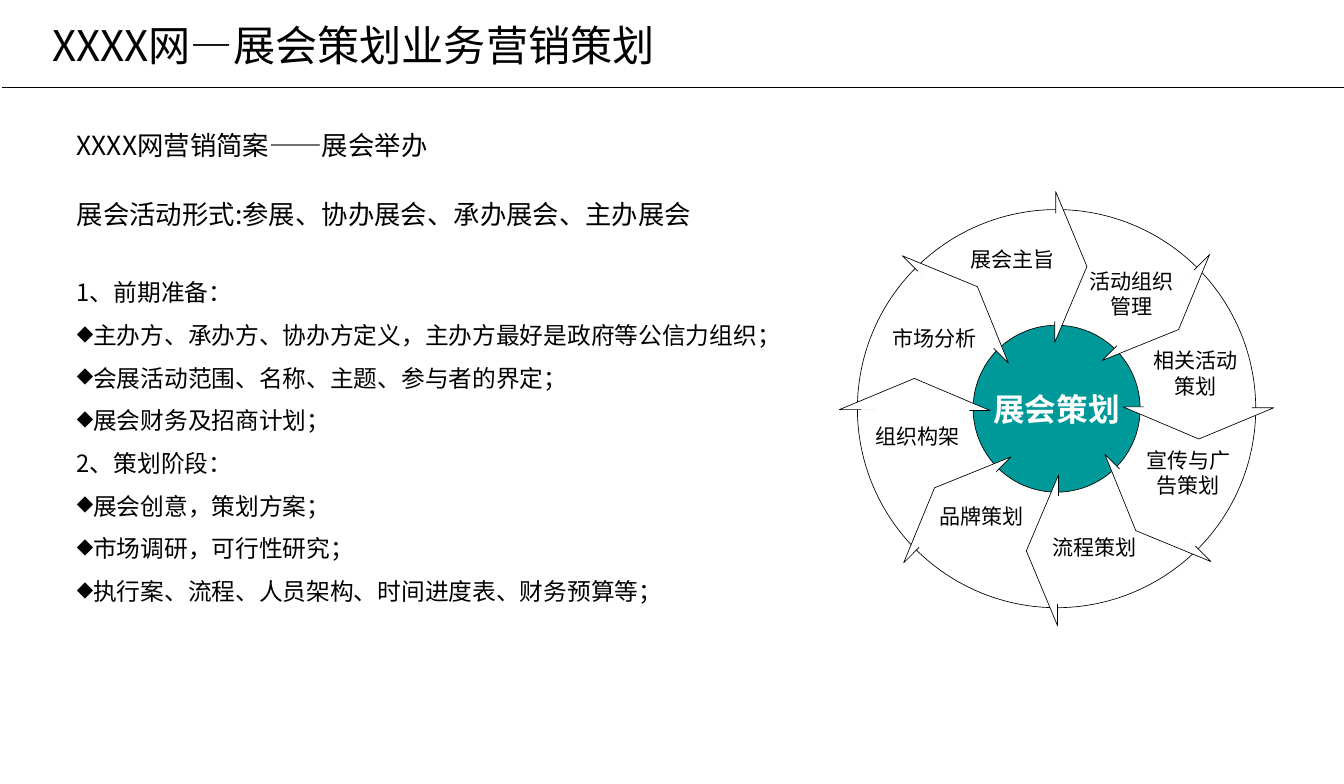
from dataclasses import dataclass
from math import cos, radians, sin

from lxml.etree import SubElement
from pptx import Presentation
from pptx.dml.color import RGBColor
from pptx.enum.shapes import MSO_CONNECTOR, MSO_SHAPE
from pptx.enum.text import MSO_ANCHOR, PP_ALIGN
from pptx.oxml.ns import qn
from pptx.util import Pt


@dataclass(frozen=True)
class Theme:
    """Colours, fonts and sizes of the slide."""
    ink: RGBColor = RGBColor(0, 0, 0)
    paper: RGBColor = RGBColor(255, 255, 255)
    accent: RGBColor = RGBColor(0, 0x99, 0x99)
    text_font: str = "Noto Sans CJK SC"
    label_font: str = "Arial"
    title_size: float = 32
    lead_size: float = 20
    list_size: float = 18
    label_size: float = 16
    core_size: float = 24
    thin: float = 0.5
    rule: float = 0.75


THEME = Theme()
TITLE = "XXXX网—展会策划业务营销策划"
LEADS = ["XXXX网营销简案——展会举办", "展会活动形式:参展、协办展会、承办展会、主办展会"]
STAGES = {
    "1、前期准备：": [
        "主办方、承办方、协办方定义，主办方最好是政府等公信力组织；",
        "会展活动范围、名称、主题、参与者的界定；",
        "展会财务及招商计划；",
    ],
    "2、策划阶段：": [
        "展会创意，策划方案；",
        "市场调研，可行性研究；",
        "执行案、流程、人员架构、时间进度表、财务预算等；",
    ],
}
CORE = "展会策划"
LABELS = [
    ("相关活动策划", 105.1, -27),
    ("宣传与广告策划", 100.1, 48.6),
    ("流程策划", 28.8, 105.5),
    ("品牌策划", -56.9, 81.7),
    ("组织构架", -105.8, 20.5),
    ("市场分析", -92.9, -53.6),
    ("展会主旨", -33.1, -113.4),
    ("活动组织管理", 56.9, -87.5),
]
ARROW = [(-1.4, -66.2), (-1.4, -50.4), (23, -108), (-0.7, -164.9), (-0.7, -148.3)]
SECTORS = 8
ARC_STEPS = 24


def paint(shape, fill, line_width=None):
    """Give a shape its fill and outline without a shadow."""
    shape.shadow.inherit = False
    shape.fill.solid()
    shape.fill.fore_color.rgb = fill
    if line_width is None:
        shape.line.fill.background()
    else:
        shape.line.color.rgb = THEME.ink
        shape.line.width = Pt(line_width)


def style(paragraph, font_name, size, color=THEME.ink, bold=False):
    """Set the font of a whole paragraph."""
    font = paragraph.font
    font.name, font.size, font.bold = font_name, Pt(size), bold
    font.color.rgb = color


def set_margins(frame, horizontal=0, vertical=0):
    """Wrap a text frame and set its inner margins."""
    frame.word_wrap = True
    frame.margin_left = frame.margin_right = Pt(horizontal)
    frame.margin_top = frame.margin_bottom = Pt(vertical)


def add_line(slide, start, end, width):
    """Draw a straight black line between two points."""
    line = slide.shapes.add_connector(MSO_CONNECTOR.STRAIGHT, *map(Pt, start + end))
    line.line.color.rgb = THEME.ink
    line.line.width = Pt(width)
    SubElement(line.element.spPr, qn("a:effectLst"))


def add_outline(slide, points, close):
    """Draw a white outline through the points."""
    scaled = [(Pt(x), Pt(y)) for x, y in points]
    builder = slide.shapes.build_freeform(*scaled[0], scale=1.0)
    builder.add_line_segments(scaled[1:], close=close)
    paint(builder.convert_to_shape(), THEME.paper, THEME.thin)


def turn(point, degrees, center):
    """Rotate an offset clockwise and move it to the center."""
    (x, y), angle = point, radians(degrees)
    return (center[0] + x * cos(angle) - y * sin(angle),
            center[1] + x * sin(angle) + y * cos(angle))


def add_label(slide, text, center, width, height, size, color, bold=False):
    """Place a centred label around a point."""
    box = slide.shapes.add_textbox(Pt(center[0] - width / 2), Pt(center[1] - height / 2),
                                   Pt(width), Pt(height))
    frame = box.text_frame
    set_margins(frame)
    frame.vertical_anchor = MSO_ANCHOR.MIDDLE
    paragraph = frame.paragraphs[0]
    paragraph.text = text
    paragraph.alignment = PP_ALIGN.CENTER
    style(paragraph, THEME.label_font, size, color, bold)


def add_title(slide, left, top, width, height):
    """Place the title with the rule below it."""
    box = slide.shapes.add_textbox(Pt(left), Pt(top), Pt(width), Pt(height))
    set_margins(box.text_frame, 7.2, 3.6)
    paragraph = box.text_frame.paragraphs[0]
    paragraph.text = TITLE
    style(paragraph, THEME.text_font, THEME.title_size)
    rule_top = top + height + 8.6
    add_line(slide, (left - 31, rule_top), (left + 987.8, rule_top), THEME.rule)


def add_plan(slide, left, top, width, height):
    """Place the lead lines and the bulleted stages."""
    box = slide.shapes.add_shape(MSO_SHAPE.RECTANGLE, Pt(left), Pt(top), Pt(width), Pt(height))
    paint(box, THEME.paper)
    frame = box.text_frame
    set_margins(frame)
    frame.vertical_anchor = MSO_ANCHOR.TOP
    rows = [(lead, THEME.lead_size, Pt(26), False) for lead in LEADS]
    for heading, items in STAGES.items():
        rows.append((heading, THEME.list_size, 1.5, False))
        rows += [(item, THEME.list_size, 1.5, True) for item in items]
    for index, (text, size, spacing, bulleted) in enumerate(rows):
        paragraph = frame.add_paragraph() if index else frame.paragraphs[0]
        paragraph.text = text
        paragraph.alignment = PP_ALIGN.LEFT
        paragraph.line_spacing = spacing
        paragraph.space_before = Pt(26 if index in (1, 2) else 0)
        properties = paragraph._p.get_or_add_pPr()
        properties.set("marL", str(Pt(11.5)))
        properties.set("indent", str(-Pt(11.5)))
        if bulleted:
            color = SubElement(properties, qn("a:buClr"))
            SubElement(color, qn("a:srgbClr"), val=str(THEME.ink))
            SubElement(properties, qn("a:buSzPct"), val="90000")
            SubElement(properties, qn("a:buChar"), char="◆")
        style(paragraph, THEME.text_font, size)


def add_wheel(slide, left, top, size):
    """Draw the wheel of sectors, arrows and labels in a square box."""
    radius, core = size / 2, 63.4
    center = (left + radius, top + radius)
    step = 360 / SECTORS
    for sector in range(SECTORS):
        arc = [turn((0, -radius), step * (sector + part / ARC_STEPS), center)
               for part in range(ARC_STEPS + 1)]
        add_outline(slide, [center] + arc, True)
    for spoke in range(SECTORS // 2):
        ends = [turn((0, y), step * spoke, center) for y in (-radius, radius)]
        add_line(slide, *ends, THEME.thin)
    hub = slide.shapes.add_shape(MSO_SHAPE.OVAL, Pt(center[0] - core), Pt(center[1] - core),
                                 Pt(2 * core), Pt(2 * core))
    paint(hub, THEME.accent, THEME.thin)
    for sector in range(SECTORS):
        add_outline(slide, [turn(point, step * sector, center) for point in ARROW], False)
    add_label(slide, CORE, center, 100.8, 28.8, THEME.core_size, THEME.paper, True)
    for text, x, y in LABELS:
        height = 38.4 if len(text) > 4 else 19.2
        add_label(slide, text, (center[0] + x, center[1] + y), 70.6, height,
                  THEME.label_size, THEME.ink)


def main():
    """Build the slide and save it."""
    presentation = Presentation()
    presentation.slide_width, presentation.slide_height = Pt(1020.24), Pt(595.44)
    slide = presentation.slides.add_slide(presentation.slide_layouts[6])
    add_plan(slide, 58.3, 96.5, 594.7, 362.9)
    add_wheel(slide, 650.9, 159.2, 302.4)
    add_title(slide, 32.4, 11.5, 792.7, 46.1)
    presentation.save("out.pptx")


if __name__ == "__main__":
    main()
